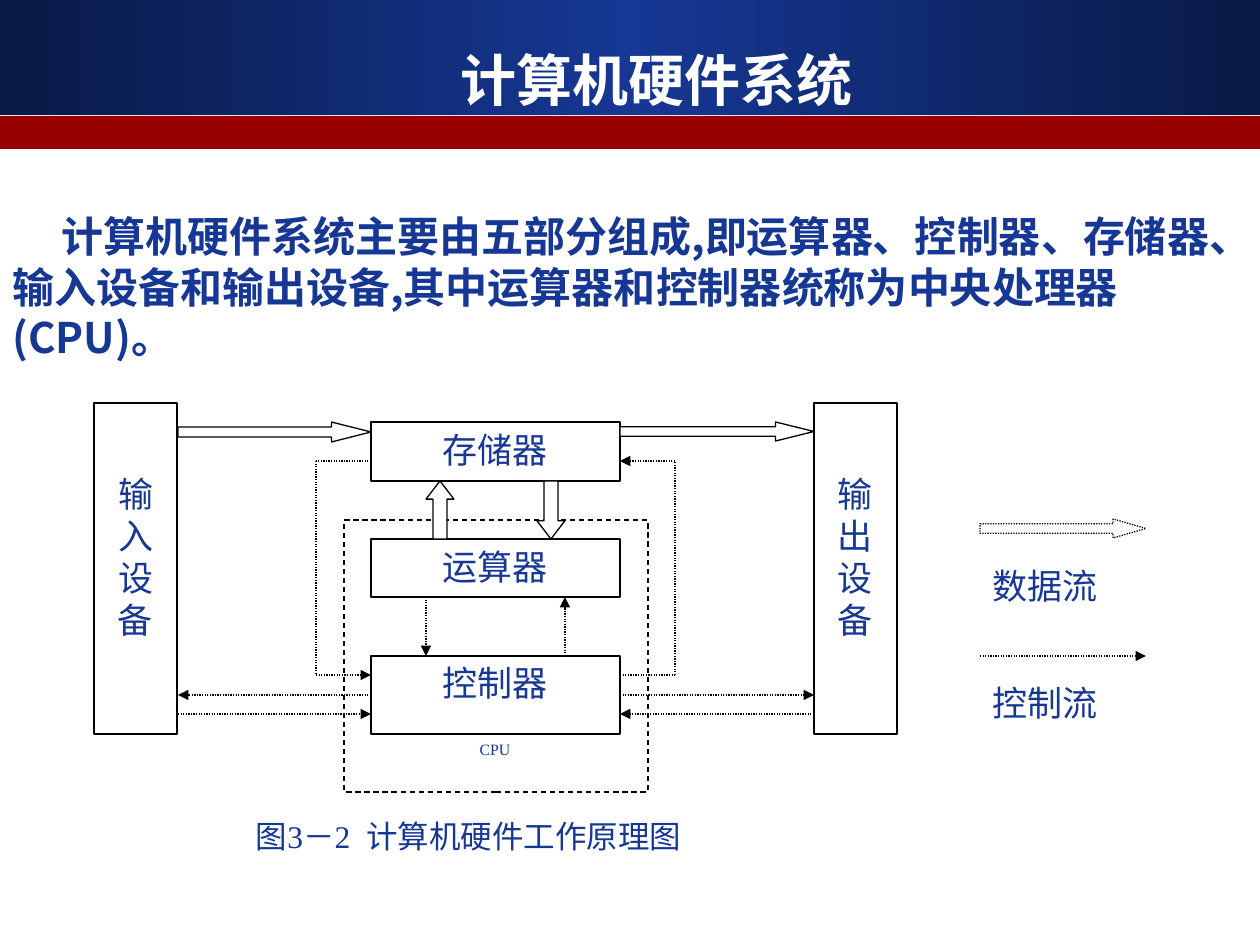
from pptx import Presentation
from pptx.dml.color import RGBColor
from pptx.enum.dml import MSO_LINE_DASH_STYLE as DASH
from pptx.enum.shapes import MSO_CONNECTOR, MSO_SHAPE as SHAPE
from pptx.enum.text import MSO_ANCHOR as ANCHOR, PP_ALIGN as ALIGN
from pptx.oxml.ns import qn
from pptx.util import Emu, Pt
from lxml.etree import SubElement

SCALE = 914400 / 126
NAVY, EDGE, RED = "163794", "091A45", "990000"
BLACK, WHITE = "000000", "FFFFFF"
SERIF, SANS = "Times New Roman", "Noto Sans CJK SC"

# Content
TITLE = "计算机硬件系统"
BODY = ("计算机硬件系统主要由五部分组成,即运算器、控制器、存储器、输入设备和"
        "输出设备,其中运算器和控制器统称为中央处理器(CPU)。")

# Shared edges of the diagram
IN_LEFT, IN_RIGHT, OUT_LEFT = 94, 178, 814
UNIT_LEFT, UNIT_RIGHT = 371, 620
LOOP_LEFT, LOOP_RIGHT = 316, 675
STORE_TOP, STORE_END, ALU_TOP, ALU_END, CONTROL_TOP, CONTROL_END = 422, 481, 539, 597, 656, 734
KEY_LEFT, KEY_RIGHT = 980, 1146
DEVICE_TOP, DEVICE_WIDTH = 403, 83
UNIT_WIDTH = UNIT_RIGHT - UNIT_LEFT

DEVICES = [("输入设备", IN_LEFT), ("输出设备", OUT_LEFT)]
UNITS = [("存储器", STORE_TOP, STORE_END), ("运算器", ALU_TOP, ALU_END),
         ("控制器", CONTROL_TOP, CONTROL_END)]

# Shape, place, head length, dash
DATA_FLOWS = [
    (SHAPE.RIGHT_ARROW, (IN_RIGHT, STORE_TOP, UNIT_LEFT - IN_RIGHT, 20), 1.98, None),
    (SHAPE.RIGHT_ARROW, (UNIT_RIGHT, STORE_TOP, OUT_LEFT - UNIT_RIGHT, 19), 2.02, None),
    (SHAPE.UP_ARROW, (426, STORE_END, 28, ALU_TOP - STORE_END), 0.65, None),
    (SHAPE.DOWN_ARROW, (537, STORE_END, 28, ALU_TOP - STORE_END), 0.65, None),
    (SHAPE.RIGHT_ARROW, (KEY_LEFT, 519, KEY_RIGHT - KEY_LEFT, 19), 1.73, DASH.ROUND_DOT),
]

# Each path ends in an arrowhead
CONTROL_FLOWS = [
    [(426, ALU_END), (426, CONTROL_TOP)],
    [(565, CONTROL_TOP), (565, ALU_END)],
    [(UNIT_RIGHT, 695), (OUT_LEFT, 695)],
    [(OUT_LEFT, 714), (UNIT_RIGHT, 714)],
    [(UNIT_LEFT, 695), (IN_RIGHT, 695)],
    [(IN_RIGHT, 714), (UNIT_LEFT, 714)],
    [(UNIT_LEFT, 461), (LOOP_LEFT, 461), (LOOP_LEFT, 675), (UNIT_LEFT, 675)],
    [(UNIT_RIGHT, 675), (LOOP_RIGHT, 675), (LOOP_RIGHT, 461), (UNIT_RIGHT, 461)],
    [(KEY_LEFT, 656), (KEY_RIGHT, 656)],
]

LABELS = [
    ("CPU", (398, CONTROL_END, 194, 58), dict(size=9)),
    ("数据流", (KEY_LEFT, 558, 166, 58), dict(align=ALIGN.JUSTIFY)),
    ("控制流", (KEY_LEFT, 675, 166, 58), dict(align=ALIGN.JUSTIFY)),
    ("图3－2  计算机硬件工作原理图", (178, 811, 581, 78), dict(size=18)),
    (BODY, (0, 204, 1260, 165), dict(size=24, font=SANS, bold=True, align=ALIGN.LEFT,
                                     anchor=ANCHOR.MIDDLE, indent=49)),
    (TITLE, (84, 0, 1145, 158), dict(size=32, font=SANS, bold=True, color=WHITE,
                                     anchor=ANCHOR.MIDDLE)),
]


def px(value):
    return Emu(round(value * SCALE))


def rgb(code):
    return RGBColor.from_string(code)


def write(box, text, size=20, font=SERIF, color=NAVY, bold=False, align=ALIGN.CENTER,
          anchor=ANCHOR.TOP, top=6, indent=0):
    frame = box.text_frame
    frame.word_wrap = True
    frame.vertical_anchor = anchor
    frame.margin_top = px(top)
    para = frame.paragraphs[0]
    para.alignment = align
    if indent:
        para._p.get_or_add_pPr().set("indent", str(px(indent)))
    span = para.add_run()
    span.text = text
    span.font.name, span.font.size, span.font.bold = font, Pt(size), bold
    span.font.color.rgb = rgb(color)
    if font == SANS:
        SubElement(span._r.rPr, qn("a:ea")).set("typeface", font)


def style_line(line, dash=None):
    line.color.rgb = rgb(BLACK)
    line.width = Pt(0.75)
    if dash:
        line.dash_style = dash


def add_box(place, kind=SHAPE.RECTANGLE, fill=WHITE, outlined=True, dash=None):
    box = page.shapes.add_shape(kind, *map(px, place))
    box.shadow.inherit = False
    box.fill.solid()
    box.fill.fore_color.rgb = rgb(fill)
    if outlined:
        style_line(box.line, dash)
    else:
        box.line.fill.background()
    return box


def add_flow(points):
    for start, end in zip(points, points[1:]):
        flow = page.shapes.add_connector(MSO_CONNECTOR.STRAIGHT, *map(px, start + end))
        style_line(flow.line, DASH.ROUND_DOT)
        if end == points[-1]:
            SubElement(flow.line._get_or_add_ln(), qn("a:tailEnd")).set("type", "triangle")
        SubElement(flow._element.spPr, qn("a:effectLst"))


deck = Presentation()
deck.slide_width, deck.slide_height = px(1260), px(945)
page = deck.slides.add_slide(deck.slide_layouts[6])

# Header bands
band = add_box((0, 0, 1260, 115), outlined=False)
band.fill.gradient()
band.fill.gradient_angle = 0
stops = band.fill._fill._gradFill.gsLst
for stop in list(stops):
    stops.remove(stop)
for position, code in [(0, EDGE), (50, NAVY), (100, EDGE)]:
    stop = SubElement(stops, qn("a:gs"))
    stop.set("pos", str(position * 1000))
    SubElement(stop, qn("a:srgbClr")).set("val", code)
add_box((0, 116, 1260, 33), fill=RED, outlined=False)

# Processor frame, devices and units
add_box((344, 520, 304, 272), dash=DASH.DASH)
for name, left in DEVICES:
    write(add_box((left, DEVICE_TOP, DEVICE_WIDTH, CONTROL_END - DEVICE_TOP)), name, top=69)
for name, top, end in UNITS:
    write(add_box((UNIT_LEFT, top, UNIT_WIDTH, end - top)), name)

# Data and control flows
for kind, place, head, dash in DATA_FLOWS:
    arrow = add_box(place, kind, dash=dash)
    arrow.adjustments[0], arrow.adjustments[1] = 0.5, head
for points in CONTROL_FLOWS:
    add_flow(points)

# Labels, body and title
for text, place, style in LABELS:
    write(page.shapes.add_textbox(*map(px, place)), text, **style)

deck.save("out.pptx")
